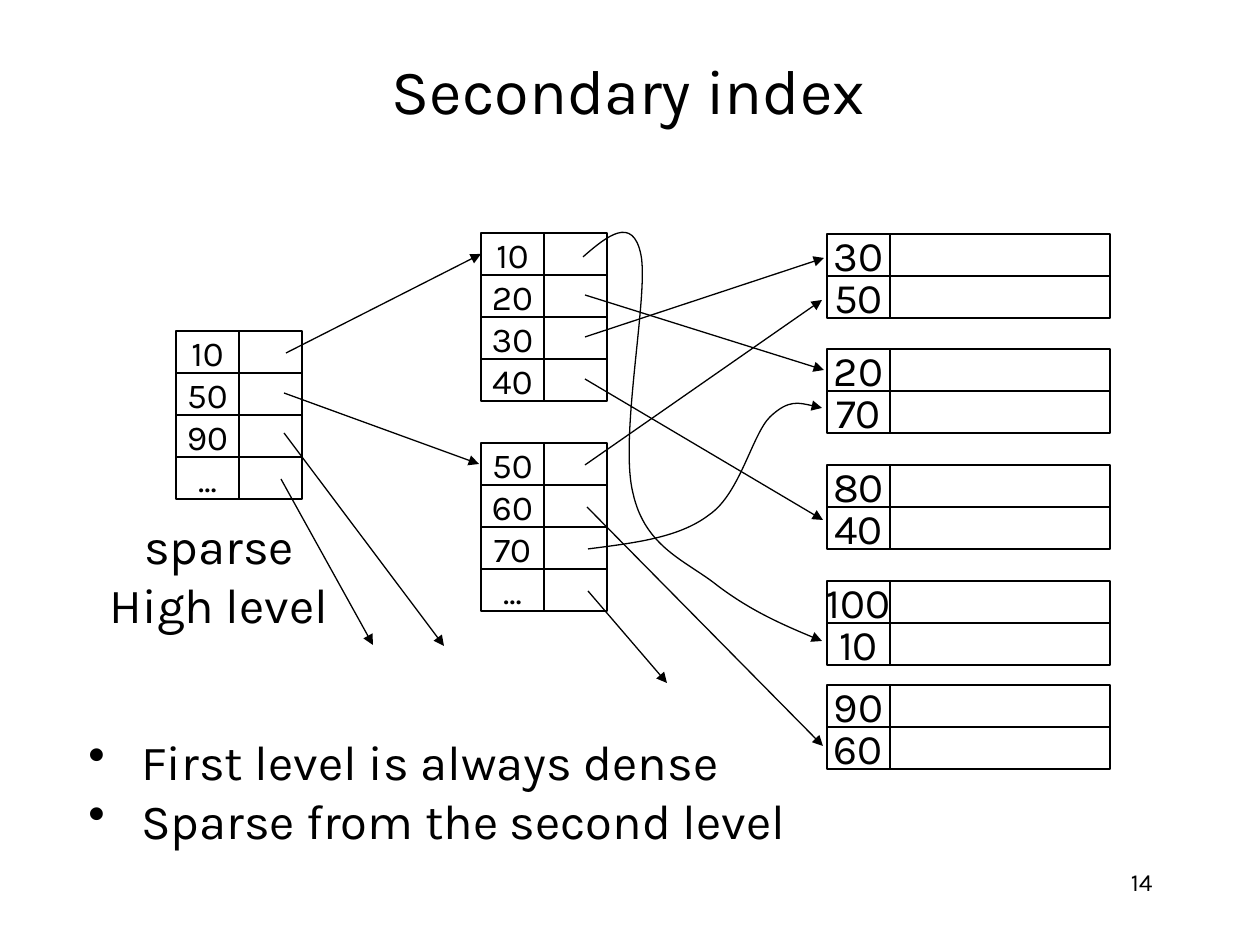
"""Build the slide on secondary indexes: a sparse level, a dense level and data blocks."""
from lxml.etree import SubElement
from pptx import Presentation
from pptx.dml.color import RGBColor
from pptx.enum.shapes import MSO_CONNECTOR, MSO_SHAPE
from pptx.enum.text import MSO_ANCHOR, PP_ALIGN
from pptx.oxml.ns import qn
from pptx.util import Pt

PX = 914400 / 126
ROW = 42
KEY_WIDTH = 63
BLACK = "000000"
WHITE = "FFFFFF"


def paint(fill, color):
    fill.solid()
    fill.fore_color.rgb = RGBColor.from_string(color)


def write(box, text, size=28, align=PP_ALIGN.CENTER, anchor=MSO_ANCHOR.MIDDLE, wrap=True, bullet=None):
    frame = box.text_frame
    frame.word_wrap = wrap
    frame.vertical_anchor = anchor
    frame.text = text
    for para in frame.paragraphs:
        para.alignment = align
        if bullet:
            properties = para._p.get_or_add_pPr()
            properties.set("marL", str(round(53 * PX)))
            properties.set("indent", str(round(-53 * PX)))
            SubElement(properties, qn("a:buChar"), char=bullet)
        for span in para.runs:
            span.font.name = "Karla"
            span.font.size = Pt(size)
            paint(span.font.fill, BLACK)


deck = Presentation()
deck.slide_width = round(1260 * PX)
deck.slide_height = round(945 * PX)
page = deck.slides.add_slide(deck.slide_layouts[6])
shapes = page.shapes

labels = [
    ((93, 38, 1071, 102), "Secondary index", {"size": 36}),
    ((903, 861, 262, 63), "14", {"size": 14, "align": PP_ALIGN.RIGHT, "anchor": MSO_ANCHOR.TOP}),
    ((93, 509, 252, 131), "sparse\nHigh level", {"wrap": False}),
    ((76, 725, 733, 131), "First level is always dense\nSparse from the second level",
     {"align": PP_ALIGN.LEFT, "bullet": "•"}),
]
for place, text, style in labels:
    box = shapes.add_textbox(*[round(length * PX) for length in place])
    write(box, text, **style)

blocks = [
    (827, 234, 220, 24, ["30", "50"]),
    (827, 349, 220, 24, ["20", "70"]),
    (827, 465, 220, 24, ["80", "40"]),
    (827, 581, 220, 24, ["100", "10"]),
    (827, 685, 220, 24, ["90", "60"]),
    (481, 233, 63, 20, ["10", "20", "30", "40"]),
    (481, 443, 63, 20, ["50", "60", "70", "..."]),
    (176, 331, 63, 20, ["10", "50", "90", "..."]),
]
key_cells = {}
for left, top, value_width, size, keys in blocks:
    for row, key in enumerate(keys):
        y = top + row * ROW
        for x, width, text in [(left, KEY_WIDTH, key), (left + KEY_WIDTH, value_width, "")]:
            cell = shapes.add_shape(MSO_SHAPE.RECTANGLE, *[round(length * PX) for length in (x, y, width, ROW)])
            cell.shadow.inherit = False
            paint(cell.fill, WHITE)
            paint(cell.line.fill, BLACK)
            cell.line.width = Pt(0.75)
            if text:
                write(cell, text, size=size, wrap=False)
                key_cells[left, key] = cell

pointers = [
    (286, 353, 481, 254),
    (284, 393, 479, 464),
    (284, 433, 444, 646),
    (281, 479, 373, 645),
    (585, 295, 824, 370),
    (585, 337, 824, 258),
    (585, 379, 823, 520),
    (585, 465, 822, 300),
    (587, 507, 823, 746),
    (588, 591, 667, 683),
]
arrows = [
    shapes.add_connector(MSO_CONNECTOR.STRAIGHT, *[round(length * PX) for length in ends])
    for ends in pointers
]
arrows[0].end_connect(key_cells[481, "10"], 1)

curves = [
    [(583, 257), (607, 236), (633, 215), (641, 255), (649, 295), (619, 437), (633, 493),
     (645, 548), (687, 561), (718, 586), (750, 610), (785, 626), (822, 641)],
    [(588, 549), (634, 543), (679, 538), (709, 515), (740, 494), (752, 435), (770, 417),
     (789, 399), (805, 404), (822, 408)],
]
for start, *controls in curves:
    builder = shapes.build_freeform(*start, scale=PX)
    builder.add_line_segments(controls, close=False)
    curve = builder.convert_to_shape()
    curve.fill.background()
    segments = list(curve._element.iter(qn("a:lnTo")))
    outline = segments[0].getparent()
    for first in range(0, len(segments), 3):
        bezier = SubElement(outline, qn("a:cubicBezTo"))
        for segment in segments[first:first + 3]:
            bezier.append(segment[0])
            outline.remove(segment)
    arrows.append(curve)

for arrow in arrows:
    paint(arrow.line.fill, BLACK)
    arrow.line.width = Pt(0.75)
    SubElement(arrow.line._get_or_add_ln(), qn("a:tailEnd"), type="triangle")
    SubElement(arrow._element.spPr, qn("a:effectLst"))

deck.save("out.pptx")
